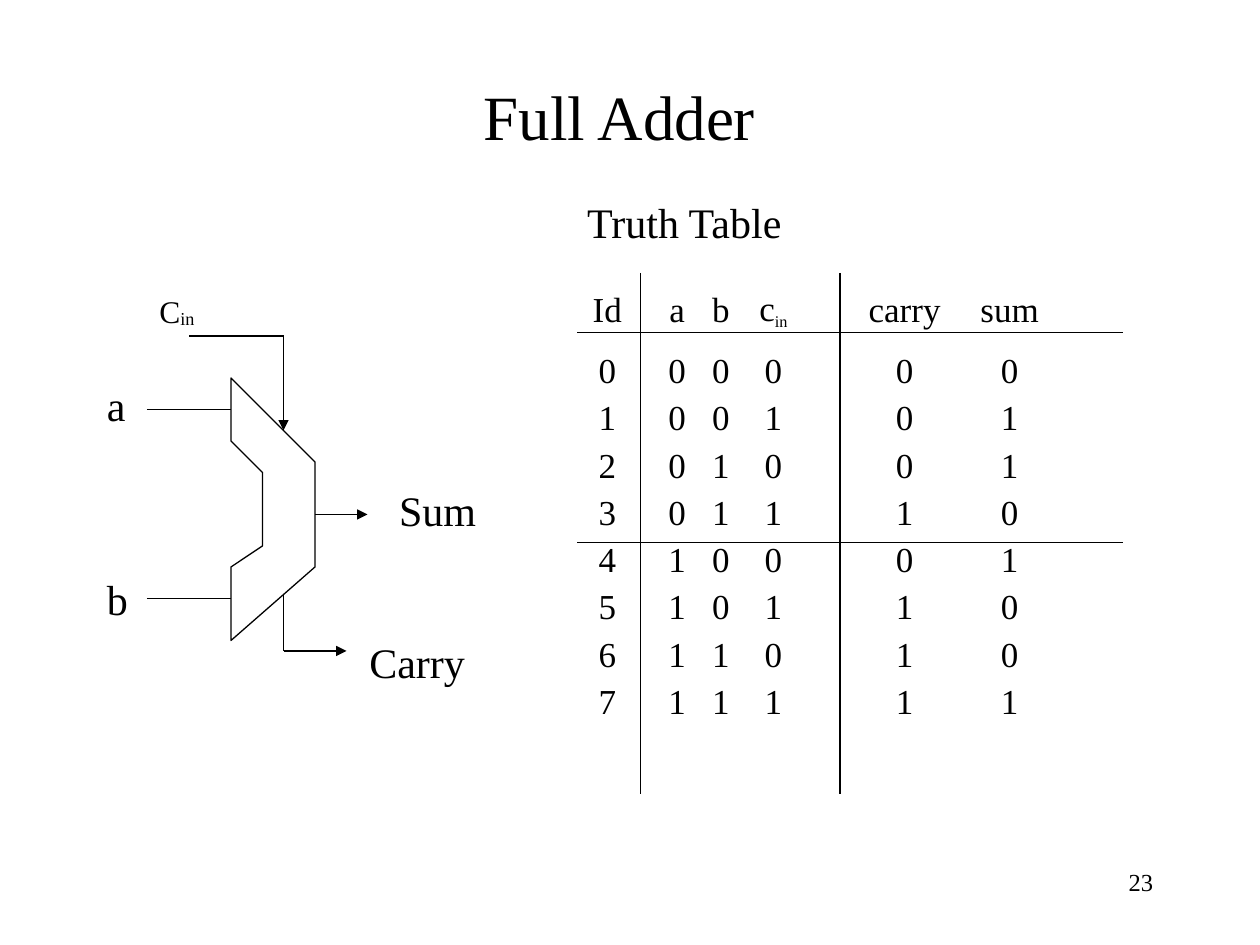
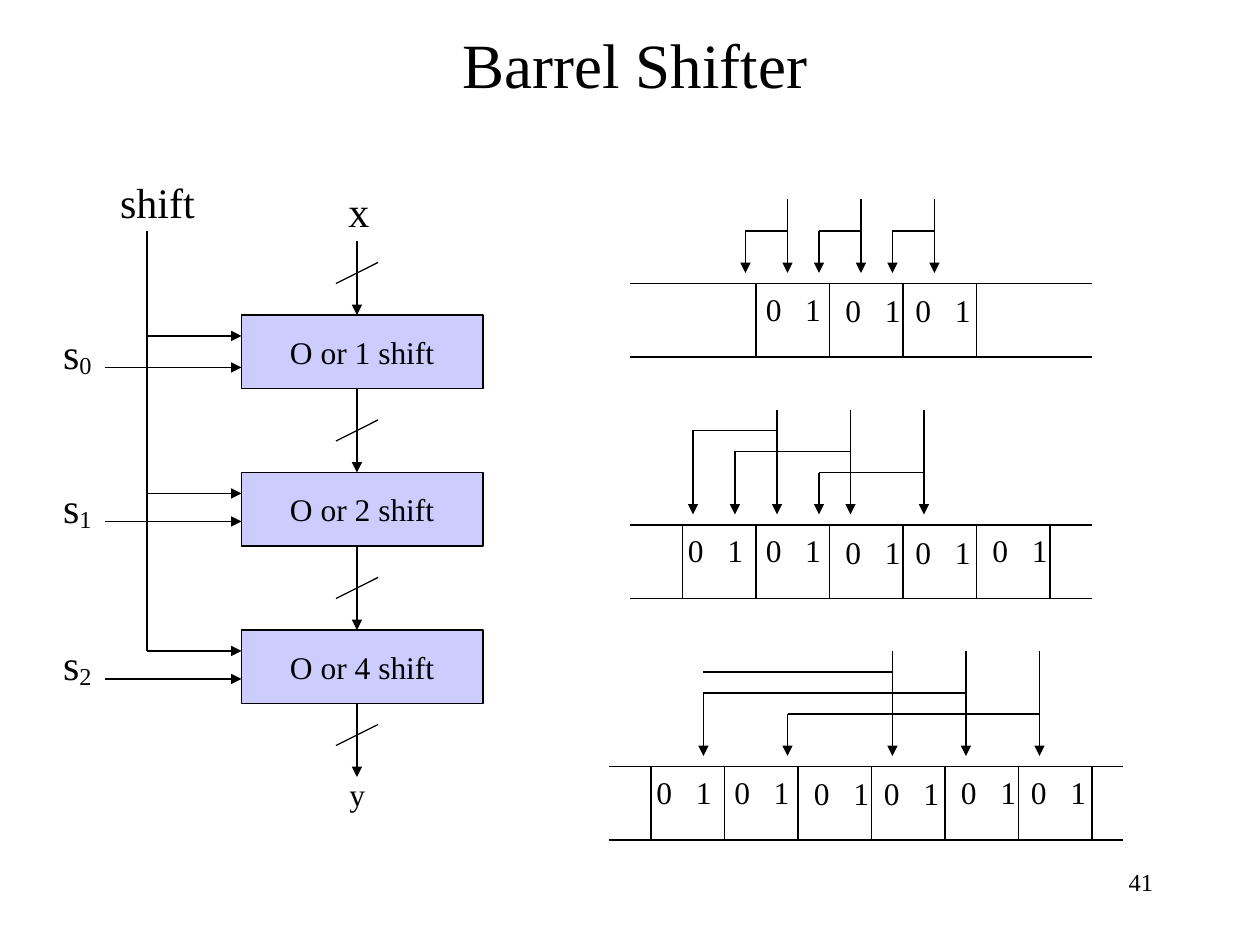
"""Build two logic design slides: a full adder and a barrel shifter."""
from lxml.etree import SubElement
from pptx import Presentation
from pptx.dml.color import RGBColor
from pptx.enum.shapes import MSO_CONNECTOR as LineKind, MSO_SHAPE as Preset
from pptx.enum.text import MSO_ANCHOR as Anchor, MSO_AUTO_SIZE as AutoSize, PP_ALIGN as Align
from pptx.oxml.ns import qn
from pptx.util import Pt

BLACK = RGBColor(0x00, 0x00, 0x00)
LAVENDER = RGBColor(0xCC, 0xCC, 0xFF)
FONT = "Times New Roman"
LINE_WIDTH = Pt(0.75)


def write(frame, text, size, align=Align.LEFT, subscript="", baseline=0, sub_size=None):
    """Put one styled paragraph, with an optional subscript, into a text frame."""
    frame.word_wrap = align != Align.LEFT
    if align == Align.LEFT:
        frame.auto_size = AutoSize.SHAPE_TO_FIT_TEXT
    para = frame.paragraphs[0]
    para.alignment = align
    para.font.name = FONT
    para.font.size = Pt(size)
    para.font.color.rgb = BLACK
    para.add_run().text = text
    if subscript:
        span = para.add_run()
        span.text = subscript
        span.font.size = Pt(sub_size or size)
        span._r.get_or_add_rPr().set("baseline", str(baseline * 1000))
    return para


def wire(page, x1, y1, x2, y2, arrow=False):
    """Draw a thin black line, with an arrowhead at its end if asked."""
    line = page.shapes.add_connector(LineKind.STRAIGHT, Pt(x1), Pt(y1), Pt(x2), Pt(y2))
    line.line.color.rgb = BLACK
    line.line.width = LINE_WIDTH
    if arrow:
        SubElement(line.line._get_or_add_ln(), qn("a:tailEnd"), type="triangle")
    SubElement(line._element.spPr, qn("a:effectLst"))


deck = Presentation()
deck.slide_width, deck.slide_height = Pt(720), Pt(540)
pages = []
for title, number, left, top, width, height in (
    ("Full Adder", "23", 60, 42, 588, 48),
    ("Barrel Shifter", "41", 54, 0, 618, 72),
):
    page = deck.slides.add_slide(deck.slide_layouts[6])
    box = page.shapes.add_textbox(Pt(left), Pt(top), Pt(width), Pt(height))
    box.text_frame.vertical_anchor = Anchor.MIDDLE
    write(box.text_frame, title, 36, Align.CENTER)
    box = page.shapes.add_textbox(Pt(516), Pt(492), Pt(150), Pt(36))
    write(box.text_frame, number, 14, Align.RIGHT)
    pages.append(page)
adder, shifter = pages

HEADINGS = ("Id", "a", "b", "c", "carry", "sum")
COLUMN_WIDTHS = (54, 26, 24, 63, 60, 60)
CARRY_IN_COLUMN = 3
rows = [HEADINGS]
for index in range(8):
    a, b, carry_in = index >> 2, index >> 1 & 1, index & 1
    total = a + b + carry_in
    rows.append((index, a, b, carry_in, total >> 1, total & 1))

table = adder.shapes.add_table(
    len(rows), len(HEADINGS), Pt(320), Pt(156), Pt(sum(COLUMN_WIDTHS)), Pt(259)
).table
table.first_row = table.horz_banding = False
for column, width in zip(table.columns, COLUMN_WIDTHS):
    column.width = Pt(width)
for r, values in enumerate(rows):
    table.rows[r].height = Pt(27 if r else 43)
    for c, value in enumerate(values):
        cell = table.cell(r, c)
        cell.fill.background()
        cell.vertical_anchor = Anchor.MIDDLE
        cell.margin_left = cell.margin_top = cell.margin_bottom = 0
        cell.margin_right = Pt(27 if c == CARRY_IN_COLUMN else 0)
        subscript = "in" if value == "c" else ""
        write(cell.text_frame, str(value), 20, Align.CENTER, subscript, -25, 16)
for y in (190, 310):
    wire(adder, 330, y, 642, y)
for x in (366, 480):
    wire(adder, x, 156, x, 454)

outline = adder.shapes.build_freeform(Pt(132), Pt(216))
outline.add_line_segments([
    (Pt(x), Pt(y)) for x, y in (
        (180, 264), (180, 324), (132, 366), (132, 324), (150, 312), (150, 270), (132, 252))
])
body = outline.convert_to_shape()
body.shadow.inherit = False
body.fill.background()
body.line.color.rgb = BLACK
body.line.width = LINE_WIDTH

for x1, y1, x2, y2, arrow in (
    (84, 234, 132, 234, False),
    (84, 342, 132, 342, False),
    (108, 192, 162, 192, False),
    (162, 192, 162, 246, True),
    (180, 294, 210, 294, True),
    (162, 340, 162, 372, False),
    (162, 372, 198, 372, True),
):
    wire(adder, x1, y1, x2, y2, arrow)

STAGE_TOPS = (180, 270, 360)
SELECT_LEVELS = (210, 298, 388)
labels = [
    (adder, "Truth Table", 328.5, 108.5, 130, 24, "", 0),
    (adder, "a", 54, 213.5, 27, 24, "", 0),
    (adder, "b", 54, 324, 29, 24, "", 0),
    (adder, "Sum", 221, 273.5, 62, 24, "", 0),
    (adder, "Carry", 204, 360, 72, 24, "", 0),
    (adder, "C", 84, 163.5, 38, 18, "in", -6),
    (shifter, "shift", 61.5, 97.5, 60, 24, "", 0),
    (shifter, "x", 192, 102.5, 29, 24, "", 0),
    (shifter, "y", 192.5, 439.5, 26, 18, "", 0),
]
for bit, level in enumerate(SELECT_LEVELS):
    labels.append((shifter, "s", 29, level - 26.5, 34, 24, str(bit), -12))
for page, text, left, top, width, size, subscript, baseline in labels:
    box = page.shapes.add_textbox(Pt(left), Pt(top), Pt(width), Pt(size * 1.2 + 7.2))
    write(box.text_frame, text, size, subscript=subscript, baseline=baseline)

wire(shifter, 84, 132, 84, 372)
for bit, (top, level) in enumerate(zip(STAGE_TOPS, SELECT_LEVELS)):
    stage = shifter.shapes.add_shape(Preset.RECTANGLE, Pt(138), Pt(top), Pt(138), Pt(42))
    stage.shadow.inherit = False
    stage.fill.solid()
    stage.fill.fore_color.rgb = LAVENDER
    stage.line.color.rgb = BLACK
    stage.line.width = LINE_WIDTH
    stage.text_frame.vertical_anchor = Anchor.MIDDLE
    write(stage.text_frame, f"O or {2 ** bit} shift", 18, Align.CENTER)
    wire(shifter, 84, top + 12, 138, top + 12, True)
    wire(shifter, 60, level, 138, level, True)
for start, end, slash in ((138, 180, 150), (222, 270, 240), (312, 360, 330), (402, 444, 414)):
    wire(shifter, 204, start, 204, end, True)
    wire(shifter, 216, slash, 192, slash + 12)

CELL = 42
NUDGES = ((-4, 0), (-1.5, 0), (2, 1), (0, 1), (2, 0), (0, 0))
REGISTERS = (
    (162, 360, 624, 390, range(1, 4)),
    (300, 360, 624, 390, range(5)),
    (438, 348, 642, 372, range(6)),
)
for top, left, right, origin, slots in REGISTERS:
    for y in (top, top + CELL):
        wire(shifter, left, y, right, y)
    for slot in range(slots.start, slots.stop + 1):
        x = origin + slot * CELL
        wire(shifter, x, top, x, top + CELL)
    for slot in slots:
        dx, dy = NUDGES[slot]
        box = shifter.shapes.add_textbox(
            Pt(origin + slot * CELL + dx), Pt(top + dy), Pt(48), Pt(29))
        para = write(box.text_frame, "0\t1", 18)
        properties = para._p.get_or_add_pPr()
        stops = SubElement(properties, qn("a:tabLst"))
        SubElement(stops, qn("a:tab"), pos=str(Pt(22.5)), algn="l")
        properties.insert(0, stops)

for start, end, taps in (
    (114, 156, ((450, 132, 426, True), (492, 132, 468, True), (534, 132, 510, True))),
    (234, 294, ((444, 246, 396, True), (486, 258, 420, True), (528, 270, 468, True))),
    (372, 432, ((510, 384, 402, False), (552, 396, 402, True), (594, 408, 450, True))),
):
    for source, branch, target, drops in taps:
        wire(shifter, source, start, source, end, True)
        wire(shifter, source, branch, target, branch)
        if drops:
            wire(shifter, target, branch, target, end, True)

deck.save("out.pptx")
